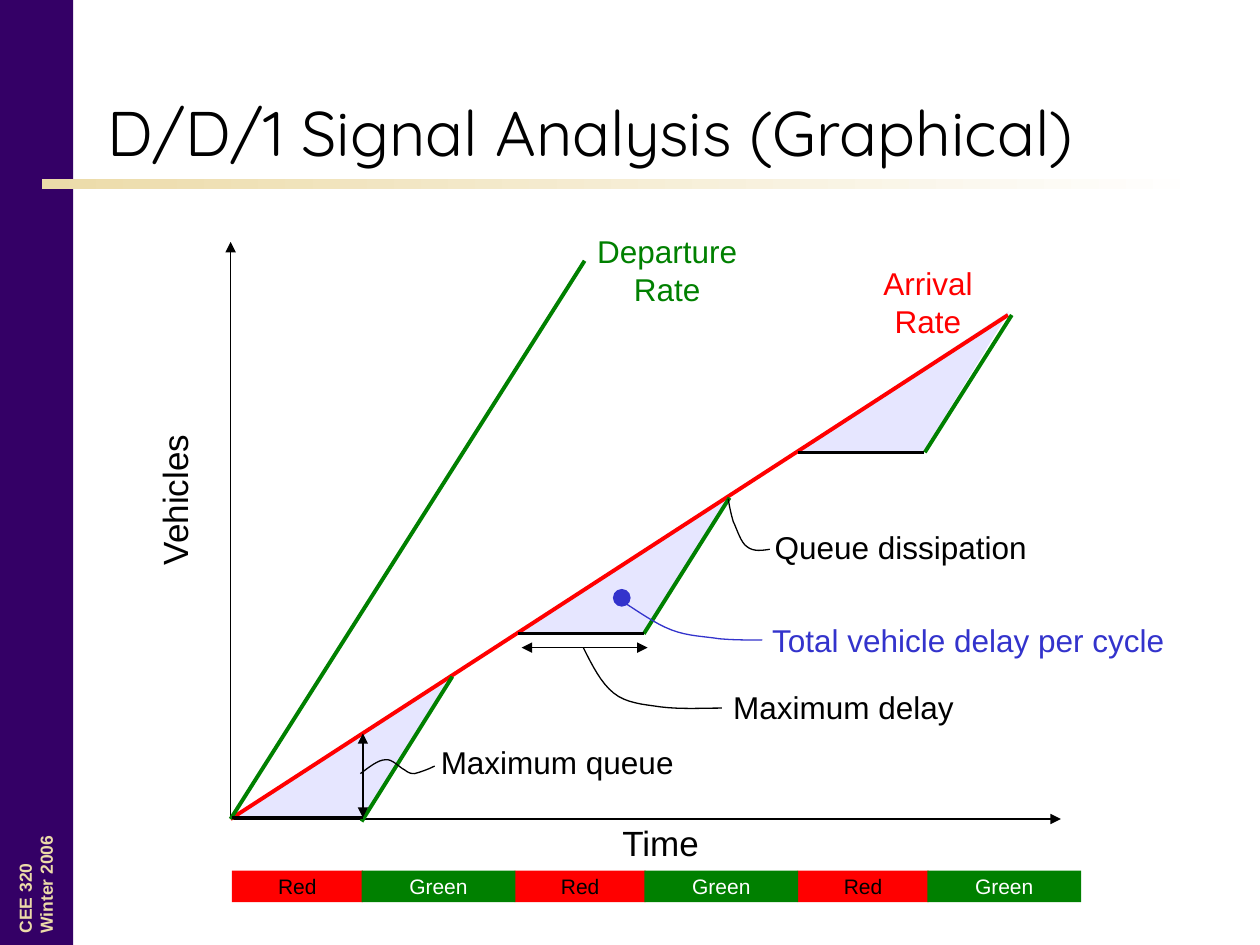
from dataclasses import dataclass

from lxml.etree import SubElement
from pptx import Presentation
from pptx.dml.color import RGBColor
from pptx.enum.shapes import MSO_CONNECTOR as Connector, MSO_SHAPE as Shape
from pptx.enum.text import MSO_ANCHOR as Anchor, PP_ALIGN as Align
from pptx.oxml.ns import qn
from pptx.util import Inches, Pt


@dataclass(frozen=True)
class Theme:
    """Colours, fonts and sizes of the slide."""
    purple: str = "340066"
    sand: str = "ECDBA9"
    white: str = "FFFFFF"
    black: str = "000000"
    red: str = "FF0000"
    green: str = "008000"
    blue: str = "3333CC"
    delay_area: str = "CCCCFF"
    title_font: str = "Quicksand"
    body_font: str = "Arial"
    title_size: int = 36
    axis_size: int = 20
    label_size: int = 18
    phase_size: int = 12
    footer_size: int = 10
    thin: float = 0.75
    medium: float = 1.5
    thick: float = 2.25


THEME = Theme()


def rgb(colour):
    """Return the colour object for a hex string."""
    return RGBColor.from_string(colour)


def write(paragraph, words, size, colour, font=THEME.body_font, bold=False):
    """Add one formatted run to a paragraph."""
    run = paragraph.add_run()
    run.text = words
    run.font.name, run.font.size, run.font.bold = font, Pt(size), bold
    run.font.color.rgb = rgb(colour)


@dataclass
class Region:
    """A box on the slide whose parts are placed from its top left corner."""
    shapes: object
    left: float
    top: float
    width: float
    height: float

    def point(self, x, y):
        """Return the slide position of a point in the region."""
        return Inches(self.left + x), Inches(self.top + y)

    def block(self, x, y, width, height, colour, kind=Shape.RECTANGLE):
        """Add a plain filled shape."""
        block = self.shapes.add_shape(kind, *self.point(x, y), Inches(width), Inches(height))
        block.shadow.inherit = False
        block.fill.solid()
        block.fill.fore_color.rgb = rgb(colour)
        block.line.fill.background()
        return block

    def text(self, x, y, width, height, lines, size, colour, align=Align.LEFT, turn=0, bold=False):
        """Add a text box with one paragraph per line."""
        label = self.shapes.add_textbox(*self.point(x, y), Inches(width), Inches(height))
        label.rotation = turn
        frame = label.text_frame
        frame.word_wrap = False
        for index, words in enumerate(lines):
            paragraph = frame.add_paragraph() if index else frame.paragraphs[0]
            paragraph.alignment = align
            write(paragraph, words, size, colour, bold=bold)

    def line(self, start, end, colour, weight, arrows=()):
        """Add a straight line with arrowheads at the named ends."""
        line = self.shapes.add_connector(Connector.STRAIGHT, *self.point(*start), *self.point(*end))
        line.line.color.rgb = rgb(colour)
        line.line.width = Pt(weight)
        for arrow in arrows:
            SubElement(line.line._get_or_add_ln(), qn(f"a:{arrow}"), type="triangle")
        SubElement(line._element.spPr, qn("a:effectLst"))

    def outline(self, points, close):
        """Add a freeform through the points."""
        start, *rest = [self.point(*point) for point in points]
        builder = self.shapes.build_freeform(*start)
        builder.add_line_segments(rest, close=close)
        outline = builder.convert_to_shape()
        outline.shadow.inherit = False
        return outline

    def area(self, points, colour, opacity):
        """Add a translucent area without an edge."""
        area = self.outline(points, True)
        area.fill.solid()
        area.fill.fore_color.rgb = rgb(colour)
        area.line.fill.background()
        tint = area._element.spPr.find(f".//{qn('a:srgbClr')}")
        SubElement(tint, qn("a:alpha"), val=str(opacity * 1000))

    def leader(self, knots, colour, steps=8):
        """Add a smooth leader through chained cubic curves."""
        points = [knots[0]]
        for first in range(0, len(knots) - 1, 3):
            curve = knots[first:first + 4]
            for step in range(1, steps + 1):
                t = step / steps
                weights = ((1 - t) ** 3, 3 * t * (1 - t) ** 2, 3 * t * t * (1 - t), t ** 3)
                points.append([sum(w * k[axis] for w, k in zip(weights, curve)) for axis in (0, 1)])
        leader = self.outline(points, False)
        leader.fill.background()
        leader.line.color.rgb = rgb(colour)
        leader.line.width = Pt(THEME.thin)


def add_sidebar(box):
    """Draw the side band with the course name."""
    box.block(0, 0, box.width, box.height, THEME.purple)
    box.text(-0.3, 6.7, 1.17, 0.44, ["CEE 320", "Winter 2006"], THEME.footer_size,
             THEME.sand, turn=270, bold=True)


def add_heading(box, title):
    """Place the title and the fading rule under it."""
    rule = box.block(-0.42, 0.92, 9.25, 0.08, THEME.sand)
    rule.fill.gradient()
    rule.fill.gradient_angle = 0
    for stop, colour in zip(rule.fill.gradient_stops, (THEME.sand, THEME.white)):
        stop.color.rgb = rgb(colour)
    title.left, title.top = box.point(0, 0)
    title.width, title.height = Inches(box.width), Inches(box.height)
    title.text_frame.vertical_anchor = Anchor.MIDDLE
    heading = title.text_frame.paragraphs[0]
    heading.alignment = Align.LEFT
    write(heading, "D/D/1 Signal Analysis (Graphical)", THEME.title_size, THEME.black, THEME.title_font)


def add_queue_plot(box):
    """Draw the axes, rates, signal cycles and their labels."""
    origin = (0, box.height)
    cycles = [(0.03, 0.01, 1.05, 4.57, (1.04, 4.6), (1.76, 3.45)),
              (2.27, 2.28, 3.28, 3.11, (3.28, 3.11), (3.96, 2.03)),
              (4.47, 4.5, 5.5, 1.67, (5.51, 1.67), (6.2, 0.58))]
    for x, _, _, y, _, _ in cycles:
        box.area([(x, y), (x + 1.71, y - 1.12), (x + 1.03, y - 0.01)], THEME.delay_area, 49)
    for end in ((0, 0), (box.width, box.height)):
        box.line(origin, end, THEME.black, THEME.thin, ["tailEnd"])
    box.line(origin, (6.17, 0.58), THEME.red, THEME.thick)
    box.line(origin, (2.81, 0.15), THEME.green, THEME.thick)
    for _, red_start, red_end, y, departing, cleared in cycles:
        box.line(departing, cleared, THEME.green, THEME.thick)
        box.line((red_start, y), (red_end, y), THEME.black, THEME.medium)
    for start, end in (((1.05, 4.57), (1.05, 3.9)), ((2.31, 3.22), (3.31, 3.22))):
        box.line(start, end, THEME.black, THEME.thin, ["headEnd", "tailEnd"])

    box.text(5.08, 0.13, 0.91, 0.7, ["Arrival", "Rate"], THEME.label_size, THEME.red, Align.CENTER)
    box.text(2.81, -0.13, 1.31, 0.7, ["Departure", "Rate"], THEME.label_size, THEME.green, Align.CENTER)
    box.text(3.01, 4.55, 0.82, 0.44, ["Time"], THEME.axis_size, THEME.black)
    box.text(-1.07, 1.82, 1.25, 0.44, ["Vehicles"], THEME.axis_size, THEME.black, turn=270)

    callouts = [
        ("Maximum delay", 3.89, 3.49, 1.95, THEME.black,
         [(3.9, 3.7), (3.73, 3.7), (3.56, 3.71), (3.41, 3.69), (3.27, 3.67), (3.14, 3.66),
          (3.04, 3.58), (2.94, 3.5), (2.87, 3.36), (2.8, 3.22)]),
        ("Maximum queue", 1.57, 3.93, 2.05, THEME.black,
         [(1.03, 4.22), (1.1, 4.17), (1.17, 4.11), (1.23, 4.11), (1.28, 4.1), (1.34, 4.17), (1.38, 4.19),
          (1.41, 4.21), (1.42, 4.22), (1.46, 4.22), (1.5, 4.21), (1.56, 4.19), (1.62, 4.16)]),
        ("Total vehicle delay per cycle", 4.2, 2.96, 3.34, THEME.blue,
         [(4.22, 3.16), (4.11, 3.16), (4, 3.16), (3.88, 3.15), (3.76, 3.13), (3.63, 3.13),
          (3.5, 3.08), (3.37, 3.03), (3.23, 2.93), (3.09, 2.84)]),
        ("Queue dissipation", 4.22, 2.22, 2.2, THEME.black,
         [(4.28, 2.44), (4.22, 2.45), (4.15, 2.46), (4.1, 2.42), (4.05, 2.39), (4.02, 2.28),
          (3.99, 2.22), (3.97, 2.15), (3.96, 2.1), (3.95, 2.04)])]
    for words, x, y, width, colour, knots in callouts:
        box.text(x, y, width, 0.4, [words], THEME.label_size, colour)
        box.leader(knots, colour)
    dot = box.block(3.04, 2.76, 0.13, 0.13, THEME.blue, Shape.OVAL)
    dot.line.color.rgb = rgb(THEME.blue)
    dot.line.width = Pt(THEME.thin)


def add_signal_bar(box, cycle_count=3):
    """Draw the alternating signal phases under the time axis."""
    cycle = 2.245
    phases = [("Red", 0, 1.04, THEME.red, THEME.black),
              ("Green", 1.03, 1.22, THEME.green, THEME.white)]
    for words, offset, width, fill, ink in phases:
        for index in range(cycle_count):
            phase = box.block(offset + index * cycle, 0, width, box.height, fill)
            frame = phase.text_frame
            frame.word_wrap = False
            frame.vertical_anchor = Anchor.MIDDLE
            frame.paragraphs[0].alignment = Align.CENTER
            write(frame.paragraphs[0], words, THEME.phase_size, ink)


def main():
    """Build and save the slide."""
    deck = Presentation()
    deck.slide_width, deck.slide_height = Inches(10), Inches(7.5)
    shapes = deck.slides.add_slide(deck.slide_layouts[5]).shapes
    add_sidebar(Region(shapes, 0, 0, 0.58, 7.5))
    add_heading(Region(shapes, 0.75, 0.5, 8.83, 1.08), shapes.title)
    add_queue_plot(Region(shapes, 1.83, 1.92, 6.59, 4.58))
    add_signal_bar(Region(shapes, 1.84, 6.91, 6.75, 0.25))
    deck.save("out.pptx")


if __name__ == "__main__":
    main()
